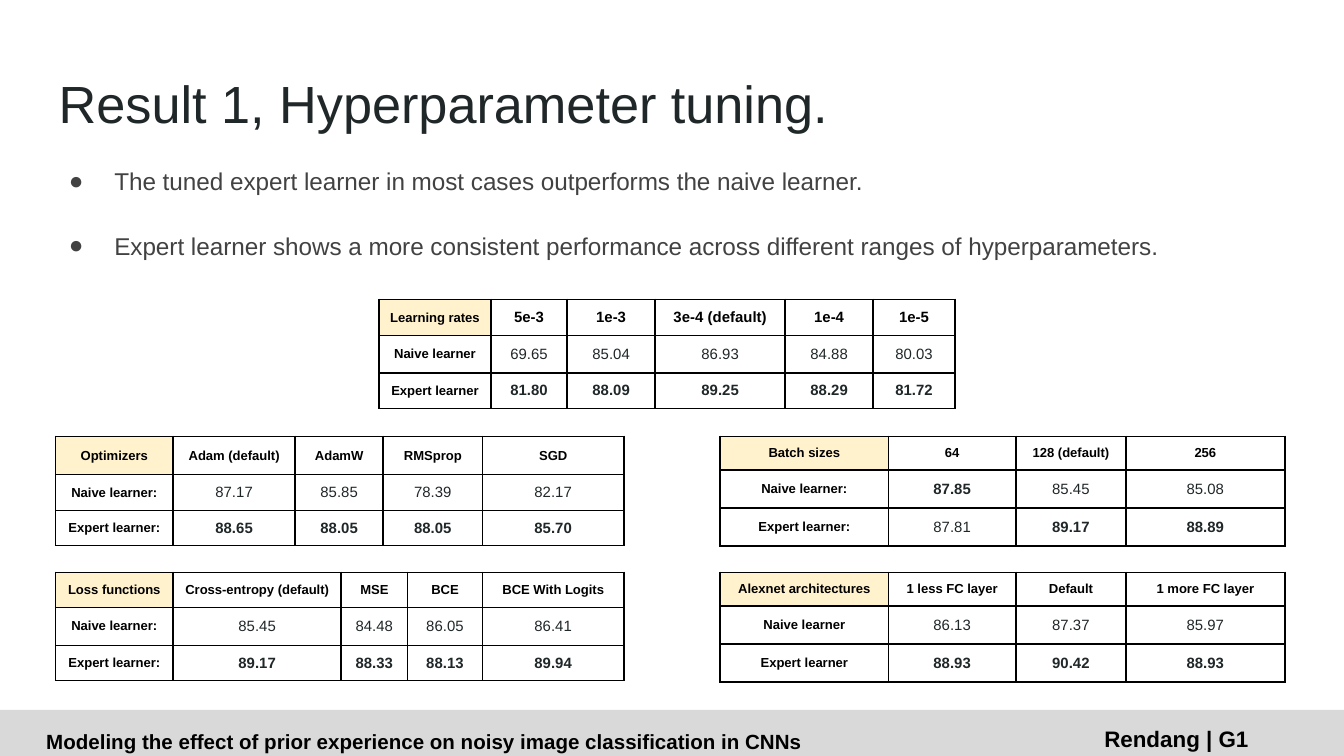
from dataclasses import dataclass

from lxml.etree import SubElement
from pptx import Presentation
from pptx.dml.color import RGBColor
from pptx.enum.shapes import MSO_SHAPE
from pptx.enum.text import MSO_ANCHOR, MSO_AUTO_SIZE, PP_ALIGN
from pptx.oxml.ns import qn
from pptx.util import Cm, Pt

FONT = "Arial"
BLACK = RGBColor(0x00, 0x00, 0x00)
WHITE = RGBColor(0xFF, 0xFF, 0xFF)
INK = RGBColor(0x20, 0x27, 0x29)
GREY = RGBColor(0x42, 0x42, 0x42)
BAND = RGBColor(0xD9, 0xD9, 0xD9)
CREAM = RGBColor(0xFF, 0xF2, 0xCC)


@dataclass
class Grid:
    left: float
    top: float
    cols: list[float]
    rows: list[float]
    heads: list[str]
    naive: list[str]
    expert: list[str]
    colon: str = ":"
    size: int = 7


@dataclass
class Label:
    left: float
    width: float
    height: float
    text: str
    size: int
    align: PP_ALIGN
    space: float


LEFT, RIGHT = 1.05, 13.61
UPPER, LOWER = 8.25, 10.82
WIDE = [3.18, 2.41, 2.08, 3.0]
THIN = [0.63, 0.72, 0.72]

GRIDS = [
    Grid(LEFT, UPPER, [2.22, 2.31, 1.66, 1.88, 2.67], [0.72, 0.68, 0.66],
         ["Optimizers", "Adam (default)", "AdamW", "RMSprop", "SGD"],
         ["87.17", "85.85", "78.39", "82.17"],
         ["88.65", "88.05", "88.05", "85.70"]),
    Grid(LEFT, LOWER, [2.22, 3.18, 1.25, 1.42, 2.67], [0.66, 0.72, 0.66],
         ["Loss functions", "Cross-entropy (default)", "MSE", "BCE",
          "BCE With Logits"],
         ["85.45", "84.48", "86.05", "86.41"],
         ["89.17", "88.33", "88.13", "89.94"]),
    Grid(RIGHT, UPPER, WIDE, THIN,
         ["Batch sizes", "64", "128 (default)", "256"],
         ["87.85", "85.45", "85.08"],
         ["87.81", "89.17", "88.89"]),
    Grid(7.16, 5.66, [2.12, 1.44, 1.66, 2.46, 1.66, 1.55], [0.68, 0.71, 0.67],
         ["Learning rates", "5e-3", "1e-3", "3e-4 (default)", "1e-4", "1e-5"],
         ["69.65", "85.04", "86.93", "84.88", "80.03"],
         ["81.80", "88.09", "89.25", "88.29", "81.72"], "", 8),
    Grid(RIGHT, LOWER, WIDE, THIN,
         ["Alexnet architectures", "1 less FC layer", "Default",
          "1 more FC layer"],
         ["86.13", "87.37", "85.97"],
         ["88.93", "90.42", "88.93"], ""),
]

LABELS = [
    Label(0.05, 15.95, 0.86, "Modeling the effect of prior experience on noisy "
          "image classification in CNNs", 11, PP_ALIGN.CENTER, 1.15),
    Label(14.02, 9.83, 0.94, "Rendang | G1", 12, PP_ALIGN.RIGHT, 1.0),
]

POINTS = [
    "The tuned expert learner in most cases outperforms the naive learner.",
    "Expert learner shows a more consistent performance across different "
    "ranges of hyperparameters.",
]


def place(shape, left: float, top: float, width: float, height: float) -> None:
    shape.left, shape.top = Cm(left), Cm(top)
    shape.width, shape.height = Cm(width), Cm(height)


def pad(frame) -> None:
    """Set the common insets and wrapping of a text frame."""
    frame.word_wrap = True
    frame.auto_size = MSO_AUTO_SIZE.NONE
    frame.vertical_anchor = MSO_ANCHOR.TOP
    frame.margin_left = frame.margin_right = Cm(0.25)
    frame.margin_top = frame.margin_bottom = Cm(0.25)


def write(para, text: str, size: float, color: RGBColor,
          bold: bool = False) -> None:
    run = para.add_run()
    run.text = text
    font = run.font
    font.name, font.size, font.bold = FONT, Pt(size), bold
    font.color.rgb = color


def edge(cell) -> None:
    """Draw a black one-point line on all four sides."""
    props = cell._tc.get_or_add_tcPr()
    for side in ("lnL", "lnR", "lnT", "lnB"):
        line = SubElement(props, qn(f"a:{side}"), w=str(Pt(1)))
        fill = SubElement(line, qn("a:solidFill"))
        SubElement(fill, qn("a:srgbClr"), val=str(BLACK))


def fill_cell(cell, text: str, size: int, color: RGBColor, bold: bool,
              back: RGBColor = WHITE) -> None:
    edge(cell)
    cell.fill.solid()
    cell.fill.fore_color.rgb = back
    cell.vertical_anchor = MSO_ANCHOR.MIDDLE
    cell.margin_left = cell.margin_right = Cm(0.17)
    cell.margin_top = cell.margin_bottom = Cm(0.17)
    para = cell.text_frame.paragraphs[0]
    para.alignment = PP_ALIGN.CENTER
    write(para, text, size, color, bold)


def draw_grid(slide, grid: Grid) -> None:
    """Draw one result table; the better learner of each column is bold."""
    table = slide.shapes.add_table(
        len(grid.rows), len(grid.cols), Cm(grid.left), Cm(grid.top),
        Cm(sum(grid.cols)), Cm(sum(grid.rows))).table
    for col, width in zip(table.columns, grid.cols):
        col.width = Cm(width)
    for row, height in zip(table.rows, grid.rows):
        row.height = Cm(height)
    names = [grid.heads[0], "Naive learner" + grid.colon,
             "Expert learner" + grid.colon]
    for i, name in enumerate(names):
        fill_cell(table.cell(i, 0), name, 7, BLACK, True,
                  WHITE if i else CREAM)
    for j, head in enumerate(grid.heads[1:], 1):
        fill_cell(table.cell(0, j), head, grid.size, BLACK, True)
        pair = grid.naive[j - 1], grid.expert[j - 1]
        best = max(pair, key=float)
        for i, value in enumerate(pair, 1):
            fill_cell(table.cell(i, j), value, 8, INK, value == best)


def draw_label(slide, label: Label) -> None:
    box = slide.shapes.add_textbox(Cm(label.left), Cm(13.46),
                                   Cm(label.width), Cm(label.height))
    pad(box.text_frame)
    para = box.text_frame.paragraphs[0]
    para.alignment, para.line_spacing = label.align, label.space
    write(para, label.text, label.size, BLACK, True)


def add_bullet(para) -> None:
    props = para._p.get_or_add_pPr()
    props.set("marL", str(Cm(1.27)))
    props.set("indent", str(Cm(-0.86)))
    tint = SubElement(props, qn("a:buClr"))
    SubElement(tint, qn("a:srgbClr"), val=str(GREY))
    SubElement(props, qn("a:buFont"), typeface=FONT)
    SubElement(props, qn("a:buChar"), char="●")


def draw_text(slide) -> None:
    title, body = slide.placeholders
    place(title, 0.86, 1.1, 23.67, 1.6)
    pad(title.text_frame)
    para = title.text_frame.paragraphs[0]
    para.alignment = PP_ALIGN.LEFT
    write(para, "Result 1, Hyperparameter tuning.", 28, INK)

    place(body, 0.64, 2.9, 23.9, 2.18)
    frame = body.text_frame
    pad(frame)
    for i, text in enumerate(POINTS):
        para = frame.add_paragraph() if i else frame.paragraphs[0]
        add_bullet(para)
        para.alignment = PP_ALIGN.LEFT
        para.line_spacing = 1.15 if i else 1.0
        para.space_before = Pt(16.5 if i else 0)
        write(para, text, 13, GREY)


def main() -> None:
    deck = Presentation()
    deck.slide_width, deck.slide_height = Cm(25.4), Cm(14.29)
    slide = deck.slides.add_slide(deck.slide_layouts[1])
    draw_text(slide)
    band = slide.shapes.add_shape(MSO_SHAPE.RECTANGLE, 0, Cm(13.42),
                                  Cm(25.4), Cm(0.87))
    band.shadow.inherit = False
    band.fill.solid()
    band.fill.fore_color.rgb = BAND
    band.line.fill.background()
    for label in LABELS:
        draw_label(slide, label)
    for grid in GRIDS:
        draw_grid(slide, grid)
    deck.save("out.pptx")


if __name__ == "__main__":
    main()
